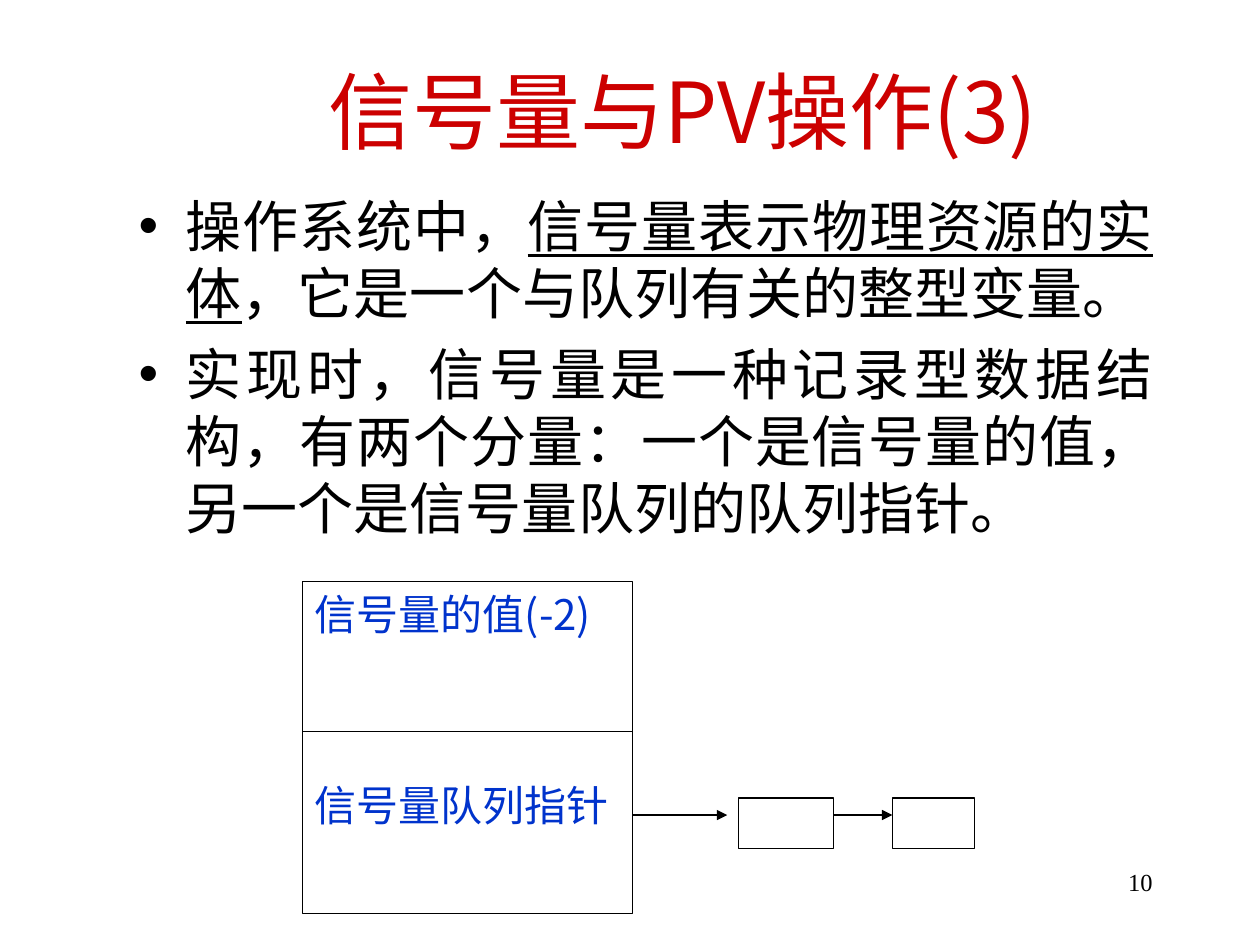
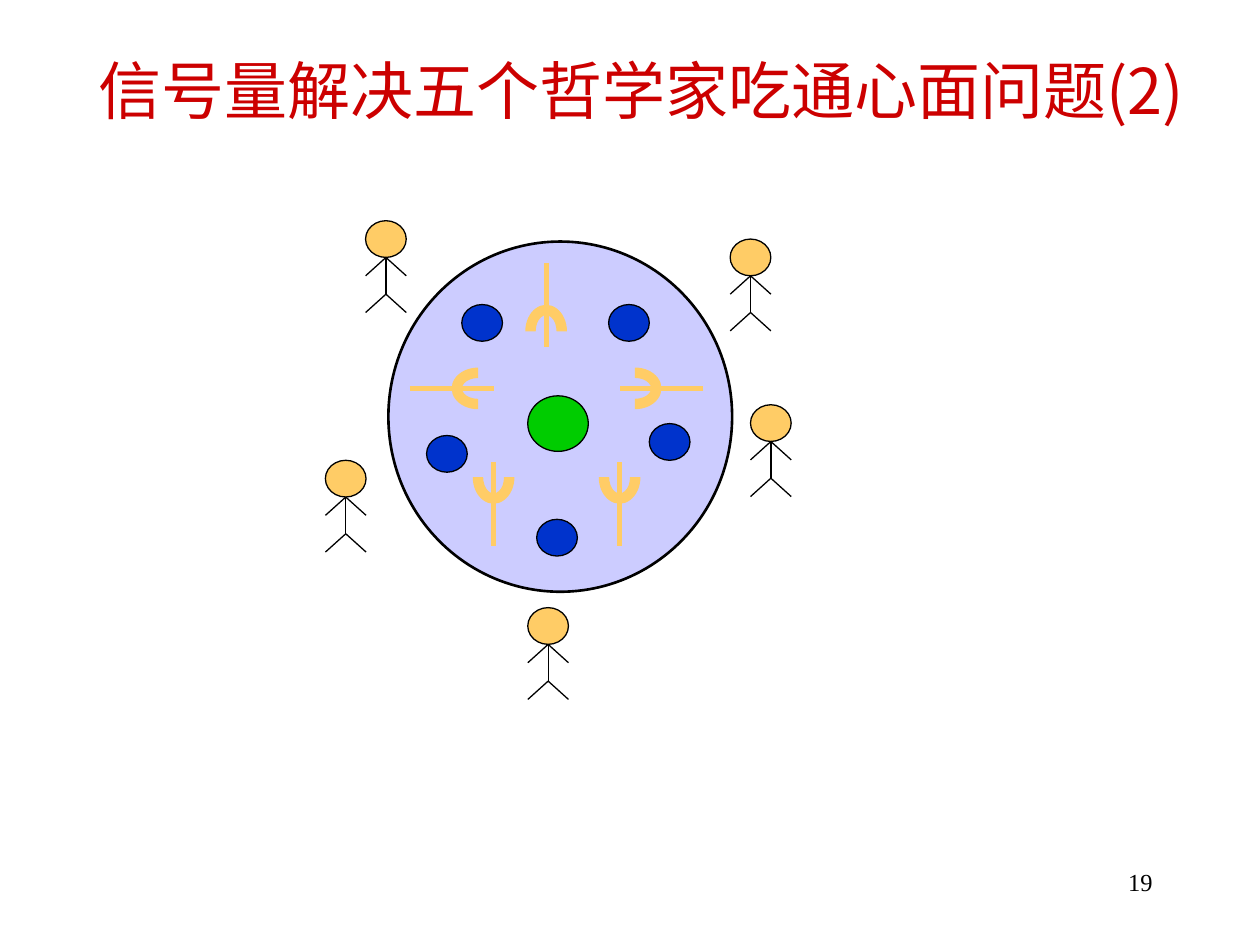
from lxml import etree
from pptx import Presentation
from pptx import util as u
from pptx.dml.color import RGBColor
from pptx.enum import shapes, text
from pptx.oxml.ns import qn

# Shared look
BLACK = RGBColor(0x00, 0x00, 0x00)
RED = RGBColor(0xCC, 0x00, 0x00)
BLUE = RGBColor(0x00, 0x33, 0xCC)
GREEN = RGBColor(0x00, 0xCC, 0x00)
LILAC = RGBColor(0xCC, 0xCC, 0xFF)
SAND = RGBColor(0xFF, 0xCC, 0x66)
HEADING_FONT, BODY_FONT, NUMBER_FONT = "Noto Sans CJK JP", "Noto Sans CJK SC", "Times New Roman"
THIN = 0.75
RECTANGLE, OVAL = shapes.MSO_SHAPE.RECTANGLE, shapes.MSO_SHAPE.OVAL
LEFT, CENTER = text.PP_ALIGN.LEFT, text.PP_ALIGN.CENTER
RIGHT, JUSTIFY = text.PP_ALIGN.RIGHT, text.PP_ALIGN.JUSTIFY
TOP, MIDDLE = text.MSO_ANCHOR.TOP, text.MSO_ANCHOR.MIDDLE
NUMBER_BOX = (18.21, 17.35, 5.28, 1.27)

# Semaphore slide: boxes are left, top, width, height in centimetres
SEMAPHORE = {"title": "信号量与PV操作(3)", "box": (2.33, 0.62, 22.86, 3.18),
             "size": 48, "anchor": MIDDLE, "number": "10"}
POINTS = [  # each run: wording, underlined
    [("操作系统中，", False), ("信号量表示物理资源的实体", True),
     ("，它是一个与队列有关的整型变量。", False)],
    [("实现时，信号量是一种记录型数据结构，有两个分量：一个是信号量的值，"
      "另一个是信号量队列的队列指针。", False)],
]
POINTS_BOX = (2.54, 3.73, 20.96, 14.68)
RECORD_FIELDS = ["信号量的值(-2)", "信号量队列指针"]
RECORD_BOX = (6.1, 11.73, 6.65, 6.68)
DIVIDER_Y, POINTER_Y = 14.75, 16.43
QUEUE_BOXES = [(14.89, 16.09, 1.91, 1.01), (17.99, 16.09, 1.65, 1.01)]
POINTER_SPANS = [(12.75, 14.66), (16.8, 17.99)]

# Philosophers slide
PHILOSOPHERS = {"title": "信号量解决五个哲学家吃通心面问题(2)", "box": (0.56, 1.45, 24.74, 1.17),
                "size": 36, "anchor": TOP, "line_spacing": u.Pt(28), "number": "19"}
TABLE_BOX = (7.83, 4.87, 6.93, 7.06)
DISH_BOX = (10.64, 7.98, 1.22, 1.12)
PLATES = [(9.31, 6.14), (12.27, 6.14), (13.09, 8.54), (10.82, 10.47), (8.6, 8.78)]
HEADS = [(14.72, 4.82), (15.13, 8.16), (10.64, 12.25), (7.37, 4.45), (6.56, 9.28)]
ROUND_SIZE = (0.82, 0.74)
FORKS = [  # handle end, direction towards the prongs
    ((11.01, 5.3), (0, 1)), ((8.26, 7.83), (1, 0)), ((14.18, 7.83), (-1, 0)),
    ((12.49, 11), (0, -1)), ((9.95, 11), (0, -1)),
]
PRONG_TURN = {(0, 1): 0, (1, 0): 270, (-1, 0): 90, (0, -1): 180}
FORK_LENGTH, PRONG_OFFSET, PRONG_SIZE = 1.69, 1.38, (0.84, 1.07)


def cm(values):
    return [u.Cm(value) for value in values]


def set_all(target, formats):
    for name, value in formats.items():
        setattr(target, name, value)


def place(shape, box):
    set_all(shape, dict(zip(("left", "top", "width", "height"), cm(box))))


def add_run(paragraph, wording, size, font, color, underline=False):
    run = paragraph.add_run()
    run.text = wording
    set_all(run.font, {"size": u.Pt(size), "name": font, "underline": underline or None})
    run.font.color.rgb = color
    east_asian = etree.Element(qn("a:ea"), typeface=font)
    run.font._element.find(qn("a:latin")).addnext(east_asian)


def fill_text(frame, paragraphs, size, font, color, anchor=TOP, **formats):
    """Write paragraphs of (wording, underlined) runs; gap goes between them."""
    gap = formats.pop("gap", 0)
    set_all(frame, {"word_wrap": True, "auto_size": text.MSO_AUTO_SIZE.NONE,
                    "vertical_anchor": anchor})
    for index, runs in enumerate(paragraphs):
        paragraph = frame.add_paragraph() if index else frame.paragraphs[0]
        set_all(paragraph, {"space_before": u.Pt(gap if index else 0), **formats})
        # Keep punctuation inside the right margin
        paragraph._p.get_or_add_pPr().set("hangingPunct", "0")
        for wording, underline in runs:
            add_run(paragraph, wording, size, font, color, underline)


def add_figure(parent, kind, box, fill=None, line=BLACK, weight=THIN):
    shape = parent.add_shape(kind, *cm(box))
    shape.shadow.inherit = False
    if fill is None:
        shape.fill.background()
    else:
        shape.fill.solid()
        shape.fill.fore_color.rgb = fill
    if line is None:
        shape.line.fill.background()
    else:
        shape.line.color.rgb = line
        shape.line.width = u.Pt(weight)
    return shape


def add_line(parent, start, end, color=BLACK, weight=THIN, arrow=False):
    connector = parent.add_connector(shapes.MSO_CONNECTOR.STRAIGHT, *cm(start + end))
    connector.line.color.rgb = color
    connector.line.width = u.Pt(weight)
    properties = connector._element.spPr
    if arrow:
        etree.SubElement(properties.find(qn("a:ln")), qn("a:tailEnd"), type="triangle")
    etree.SubElement(properties, qn("a:effectLst"))


def add_slide(presentation, layout, content):
    slide = presentation.slides.add_slide(presentation.slide_layouts[layout])
    title = slide.shapes.title
    place(title, content["box"])
    fill_text(title.text_frame, [[(content["title"], False)]], content["size"], HEADING_FONT, RED,
              content["anchor"], alignment=CENTER, line_spacing=content.get("line_spacing"))
    number = slide.shapes.add_textbox(*cm(NUMBER_BOX))
    fill_text(number.text_frame, [[(content["number"], False)]], 14, NUMBER_FONT, BLACK,
              alignment=RIGHT)
    return slide


def add_philosopher(slide, head):
    parent = slide.shapes.add_group_shape().shapes
    width, height = ROUND_SIZE
    add_figure(parent, OVAL, head + ROUND_SIZE, SAND)
    middle, neck, limb = head[0] + width / 2, head[1] + height, height / 2
    hip = neck + 2 * limb
    add_line(parent, (middle, neck), (middle, hip))
    for joint in (neck, hip):
        for side in (-1, 1):
            add_line(parent, (middle, joint), (middle + side * width / 2, joint + limb))


def add_fork(slide, start, direction):
    parent = slide.shapes.add_group_shape().shapes
    tip, center = [tuple(s + d * length for s, d in zip(start, direction))
                   for length in (FORK_LENGTH, PRONG_OFFSET)]
    add_line(parent, start, tip, SAND, 3)
    corner = tuple(c - size / 2 for c, size in zip(center, PRONG_SIZE))
    prongs = add_figure(parent, shapes.MSO_SHAPE.BLOCK_ARC, corner + PRONG_SIZE, SAND, None)
    prongs.rotation = PRONG_TURN[direction]


def build_semaphore(presentation):
    slide = add_slide(presentation, 1, SEMAPHORE)
    body = slide.placeholders[1]
    place(body, POINTS_BOX)
    fill_text(body.text_frame, POINTS, 32, BODY_FONT, BLACK,
              alignment=JUSTIFY, line_spacing=u.Pt(38.3), gap=8)

    # Record with its two fields
    record = add_figure(slide.shapes, RECTANGLE, RECORD_BOX)
    fill_text(record.text_frame, [[(field, False)] for field in RECORD_FIELDS], 24,
              HEADING_FONT, BLUE, alignment=LEFT, line_spacing=u.Pt(29), gap=80)
    left, _, width, _ = RECORD_BOX
    add_line(slide.shapes, (left, DIVIDER_Y), (left + width, DIVIDER_Y))

    # Waiting queue
    for box in QUEUE_BOXES:
        add_figure(slide.shapes, RECTANGLE, box)
    for start, end in POINTER_SPANS:
        add_line(slide.shapes, (start, POINTER_Y), (end, POINTER_Y), arrow=True)


def build_philosophers(presentation):
    slide = add_slide(presentation, 5, PHILOSOPHERS)
    add_figure(slide.shapes, OVAL, TABLE_BOX, LILAC, weight=1.5)
    for plate in PLATES:
        add_figure(slide.shapes, OVAL, plate + ROUND_SIZE, BLUE)
    for head in HEADS:
        add_philosopher(slide, head)
    add_figure(slide.shapes, OVAL, DISH_BOX, GREEN)
    for start, direction in FORKS:
        add_fork(slide, start, direction)


def main():
    presentation = Presentation()
    set_all(presentation, {"slide_width": u.Cm(25.4), "slide_height": u.Cm(19.05)})
    build_semaphore(presentation)
    build_philosophers(presentation)
    presentation.save("out.pptx")


if __name__ == "__main__":
    main()
